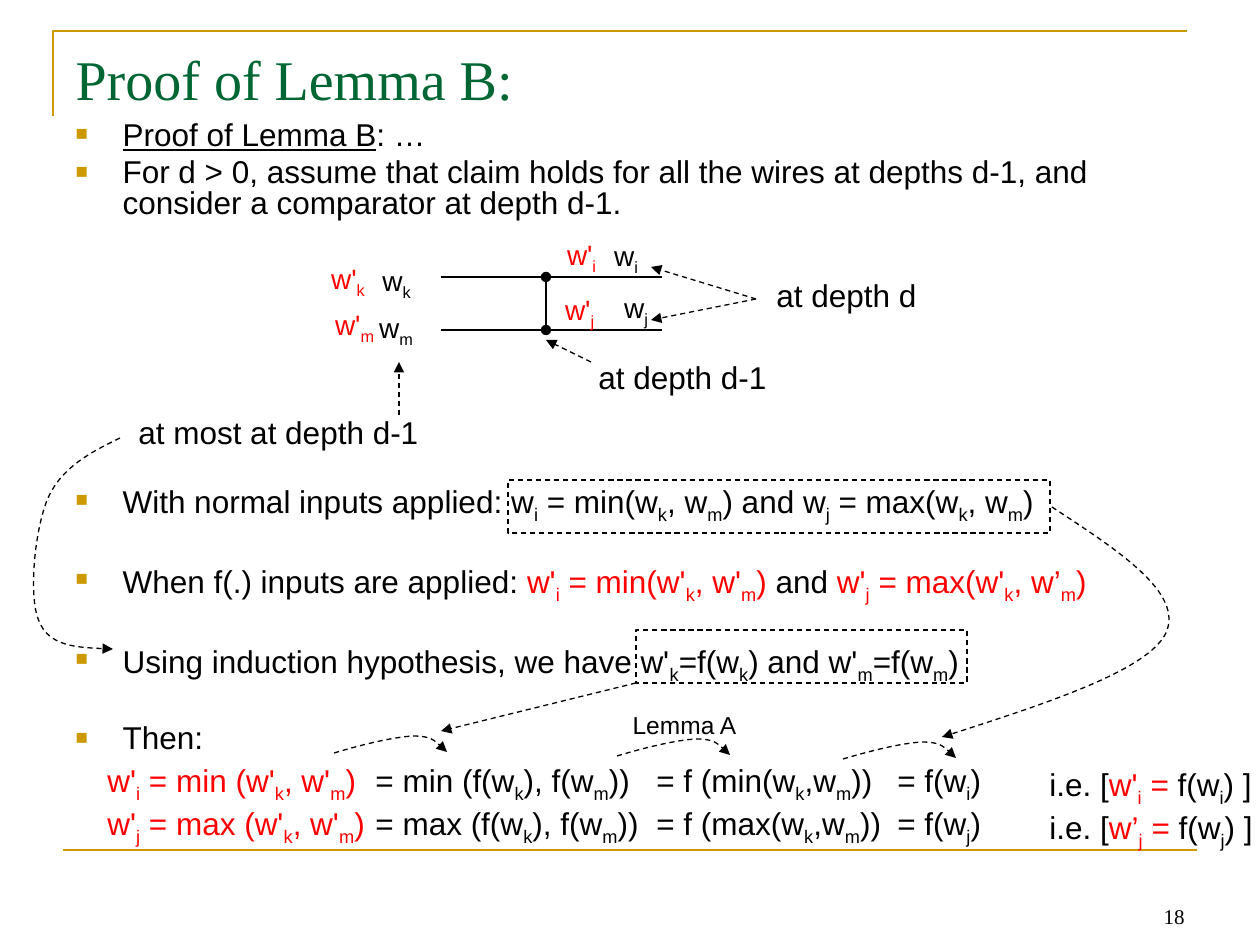
import itertools
import lxml.etree
import pptx
import pptx.dml.color
import pptx.enum.dml
import pptx.enum.shapes
import pptx.enum.text
import pptx.oxml.ns
import pptx.util

THEME = dict(
    ink="000000", red="FF0000", gold="CC9900", green="006633",
    sans="Arial", serif="Times New Roman",
    head=32, body=18, wire=16, note=14, foot=12, thin=0.75, rule=1.5)
PX = 914400 / 126

# In text, _ lowers the next letter, ~ switches red and | switches underline.
TITLE = "Proof of Lemma B:"
POINTS = [
    (4, "|Proof of Lemma B|: …"),
    (4, "For d > 0, assume that claim holds for all the wires at depths d-1, "
        "and consider a comparator at depth d-1."),
    (152, "With normal inputs applied: w_i = min(w_k, w_m) and w_j = max(w_k, w_m)"),
    (26, "When f(.) inputs are applied: ~w'_i = min(w'_k, w'_m) ~and "
         "~w'_j = max(w'_k, w’_m)~"),
    (26, "Using induction hypothesis, we have w'_k=f(w_k) and w'_m=f(w_m)"),
    (26, "Then:"),
]
WIRES = [
    ("~w'_k~", 318, 255, 60), ("w_k", 369, 257, 55),
    ("~w'_m~", 321, 301, 67), ("w_m", 365, 304, 62),
    ("~w'_i~", 554, 231, 55), ("w_i", 601, 232, 50),
    ("~w'_j~", 552, 286, 55), ("w_j", 611, 284, 50),
]
NOTES = [
    ("at most at depth d-1", 126, 407, 328, "LEFT", "body"),
    ("at depth d-1", 562, 352, 241, "CENTER", "body"),
    ("at depth d", 726, 270, 241, "CENTER", "body"),
    ("Lemma A", 564, 703, 241, "CENTER", "note"),
]
COLS = [(95, 310, 761), (363, 310, 761), (644, 262, 761), (885, 137, 761),
        (1037, 243, 765)]
STEP = 43
ROWS = [
    ["~w'_i = min (w'_k, w'_m)~", "= min (f(w_k), f(w_m))",
     "= f (min(w_k,w_m))", "= f(w_i)", "i.e. [~w'_i =~ f(w_i) ]"],
    ["~w'_j = max (w'_k, w'_m)~", "= max (f(w_k), f(w_m))",
     "= f (max(w_k,w_m))", "= f(w_j)", "i.e. [~w’_j =~ f(w_j) ]"],
]
RAILS = [(441, 277, 662, 277), (441, 330, 662, 330)]
GATE = (546, 277, 546, 330)
ARROWS = [(591, 362, 546, 340), (756, 299, 651, 267), (756, 299, 651, 320),
          (399, 415, 399, 362), (636, 683, 441, 731)]
BOXES = [(636, 630, 331, 53), (508, 480, 542, 53)]
FRAME = [(53, 116), (53, 31), (1187, 31)]
BASE = (63, 850, 1197, 850)
SWEEPS = [
    [(120, 438), (91, 452), (62, 467), (48, 498), (35, 528), (28, 596),
     (39, 621), (49, 646), (82, 648), (113, 649)],
    [(1052, 507), (1119, 551), (1184, 593), (1166, 633), (1148, 670),
     (1045, 704), (942, 737)],
]
HOP = [(0, 0), (30, -9), (60, -16), (79, -17), (97, -17), (105, -9), (113, -1)]
HOPS = [(334, 753), (617, 756), (843, 759)]


def px(*nums):
    return [pptx.util.Emu(round(n * PX)) for n in nums]


def rgb(name):
    return pptx.dml.color.RGBColor.from_string(THEME[name])


def add(parent, tag, **attrs):
    return lxml.etree.SubElement(parent, pptx.oxml.ns.qn("a:" + tag), attrs)


def split(text):
    red = line = low = False
    marks = []
    for char in text:
        if char == "~":
            red = not red
        elif char == "|":
            line = not line
        elif char == "_":
            low = True
        else:
            marks.append((char, (red, line, low)))
            low = False
    for style, group in itertools.groupby(marks, key=lambda mark: mark[1]):
        yield "".join(mark[0] for mark in group), style


def write(para, text, size, face="sans", hue="ink"):
    for part, (red, line, low) in split(text):
        run = para.add_run()
        run.text = part
        font = run.font
        font.name, font.size = THEME[face], pptx.util.Pt(THEME[size])
        font.color.rgb = rgb("red" if red else hue)
        if line:
            font.underline = True
        if low:
            run._r.get_or_add_rPr().set("baseline", "-25000")


def label(text, x, y, w, h, size, align="LEFT", anchor="MIDDLE", wrap=True,
          face="sans", grow=True):
    frame = slide.shapes.add_textbox(*px(x, y, w, h)).text_frame
    frame.word_wrap = wrap
    if grow:
        frame.auto_size = pptx.enum.text.MSO_AUTO_SIZE.SHAPE_TO_FIT_TEXT
    frame.vertical_anchor = pptx.enum.text.MSO_ANCHOR[anchor]
    para = frame.paragraphs[0]
    para.alignment = pptx.enum.text.PP_ALIGN[align]
    write(para, text, size, face)
    return para


def stroke(shape, hue="ink", width="thin", dash=False, head=None, tail=None):
    shape.line.color.rgb = rgb(hue)
    shape.line.width = pptx.util.Pt(THEME[width])
    if dash:
        shape.line.dash_style = pptx.enum.dml.MSO_LINE.DASH
    props = shape.element.spPr
    line = props.find(pptx.oxml.ns.qn("a:ln"))
    for tag, kind in (("headEnd", head), ("tailEnd", tail)):
        if kind:
            add(line, tag, type=kind)
    add(props, "effectLst")


def link(ends, **look):
    kind = pptx.enum.shapes.MSO_CONNECTOR.STRAIGHT
    stroke(slide.shapes.add_connector(kind, *px(*ends)), **look)


def trace(dots, curve=False, **look):
    pen = slide.shapes.build_freeform(*dots[0], scale=PX)
    pen.add_line_segments(dots[1:], close=False)
    shape = pen.convert_to_shape()
    shape.fill.background()
    if curve:
        track = next(shape.element.iter(pptx.oxml.ns.qn("a:path")))
        legs = track.findall(pptx.oxml.ns.qn("a:lnTo"))
        for start in range(0, len(legs), 3):
            bend = add(track, "cubicBezTo")
            for leg in legs[start:start + 3]:
                bend.append(leg[0])
                track.remove(leg)
    stroke(shape, **look)


def place(shape, x, y, w, h):
    shape.left, shape.top, shape.width, shape.height = px(x, y, w, h)
    frame = shape.text_frame
    frame.word_wrap = True
    frame.auto_size = pptx.enum.text.MSO_AUTO_SIZE.NONE
    frame.vertical_anchor = pptx.enum.text.MSO_ANCHOR.TOP
    return frame


deck = pptx.Presentation()
deck.slide_width, deck.slide_height = px(1260, 945)
slide = deck.slides.add_slide(deck.slide_layouts[1])

trace(FRAME, hue="gold", width="rule")
link(BASE, hue="gold", width="rule")
label("18", 903, 872, 294, 63, "foot", "RIGHT", "BOTTOM", face="serif", grow=False)

para = place(slide.shapes.title, 63, 38, 1134, 157).paragraphs[0]
para.alignment = pptx.enum.text.PP_ALIGN.LEFT
write(para, TITLE, "head", "serif", "green")

body = place(slide.placeholders[1], 63, 116, 1134, 624)
for num, (gap, text) in enumerate(POINTS):
    para = body.add_paragraph() if num else body.paragraphs[0]
    para.line_spacing = 0.8
    para.space_before = pptx.util.Pt(gap)
    props = para._p.get_or_add_pPr()
    props.set("marL", str(px(47)[0]))
    props.set("indent", str(px(-47)[0]))
    add(add(props, "buClr"), "srgbClr", val=THEME["gold"])
    add(props, "buSzPct", val="65000")
    add(props, "buFont", typeface=THEME["sans"])
    add(props, "buChar", char="■")
    write(para, text, "body")

for ends in RAILS:
    link(ends)
link(GATE, head="oval", tail="oval")
for ends in ARROWS:
    link(ends, dash=True, tail="triangle")
for text, x, y, w in WIRES:
    label(text, x, y, w, 47, "wire", "CENTER", "TOP", wrap=False)
for text, x, y, w, align, size in NOTES:
    label(text, x, y, w, 50 if size == "body" else 43, size, align)
for num, row in enumerate(ROWS):
    for text, (x, w, top) in zip(row, COLS):
        para = label(text, x, top + num * STEP, w, 43, "body")
        para.line_spacing = 0.8
        para.space_before = pptx.util.Pt(4)

for spot in BOXES:
    box = slide.shapes.add_shape(pptx.enum.shapes.MSO_SHAPE.RECTANGLE, *px(*spot))
    box.fill.background()
    stroke(box, dash=True)
hops = [[(x + dx, y + dy) for dx, dy in HOP] for x, y in HOPS]
for dots in SWEEPS + hops:
    trace(dots, curve=True, dash=True, tail="triangle")

deck.save("out.pptx")
